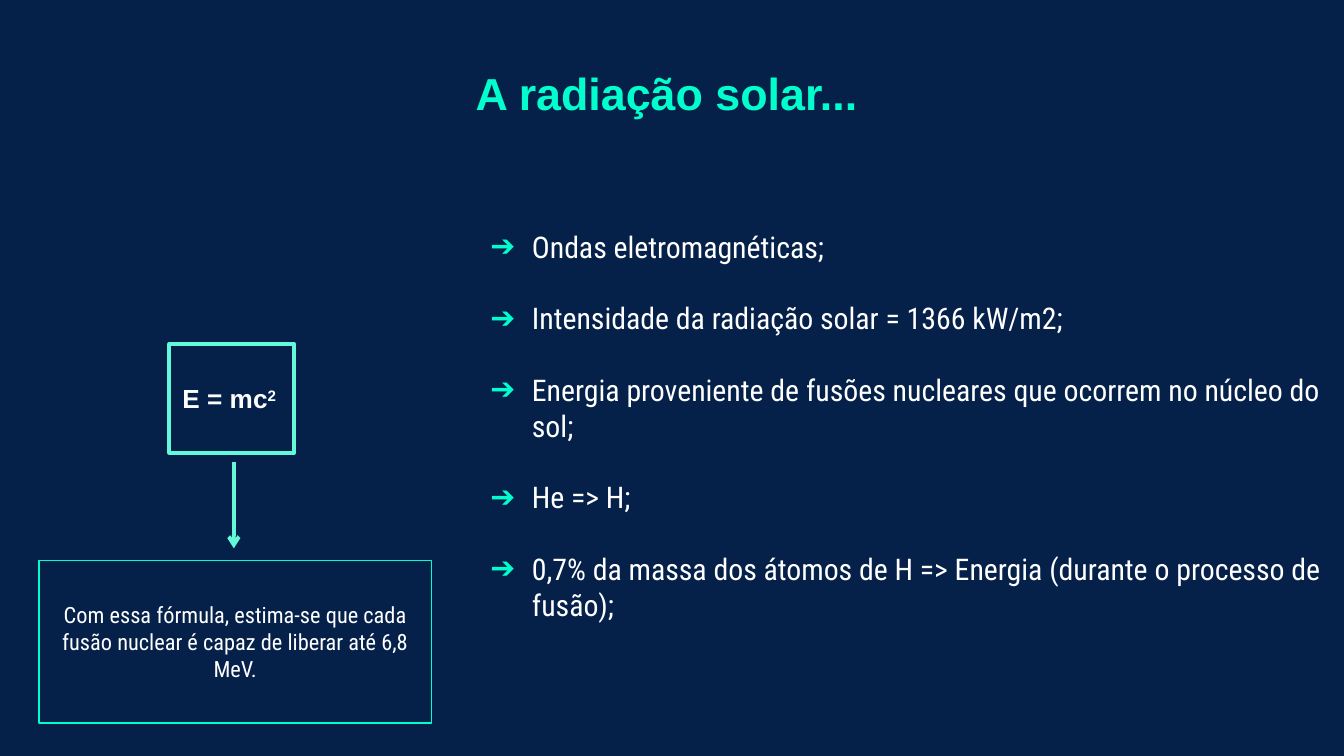
from pptx import Presentation
from pptx.dml.color import RGBColor
from pptx.enum.shapes import MSO_CONNECTOR, MSO_SHAPE
from pptx.enum.text import MSO_ANCHOR, PP_ALIGN
from pptx.oxml.ns import qn
from pptx.util import Inches, Pt
from lxml import etree

NAVY = RGBColor(0x05, 0x21, 0x4A)
MINT = RGBColor(0x00, 0xFF, 0xCD)
PALE_MINT = RGBColor(0x62, 0xF8, 0xDA)
WHITE = RGBColor(0xFF, 0xFF, 0xFF)
HEADING_FONT, BODY_FONT = "Arial", "Roboto Condensed"
LEFT, CENTER = PP_ALIGN.LEFT, PP_ALIGN.CENTER
TOP, MIDDLE = MSO_ANCHOR.TOP, MSO_ANCHOR.MIDDLE
RECTANGLE, STRAIGHT = MSO_SHAPE.RECTANGLE, MSO_CONNECTOR.STRAIGHT
TITLE_ONLY = 5

TITLE = "A radiação solar..."
FACTS = [
    "Ondas eletromagnéticas;",
    "Intensidade da radiação solar = 1366 kW/m2;",
    "Energia proveniente de fusões nucleares que ocorrem no núcleo do sol;",
    "He => H;",
    "0,7% da massa dos átomos de H => Energia (durante o processo de fusão);",
]
FORMULA, EXPONENT = "E = mc", "2"
EXPLANATION = (
    "Com essa fórmula, estima-se que cada fusão nuclear "
    "é capaz de liberar até 6,8 MeV."
)
TITLE_BOX = (2.11, 0.39, 5.7, 1.03)
FACTS_BOX = (3.55, 1.65, 6.6, 3.06)
FORMULA_BOX = (1.26, 2.56, 0.93, 0.81)
EXPLANATION_BOX = (0.29, 4.17, 2.92, 1.21)
ARROW = (1.74, 3.44, 1.74, 4.08)


def inches(values):
    """Convert a sequence of numbers to lengths."""
    return [Inches(value) for value in values]


def format_text(paragraph, font_name, size, color, bold=False, align=LEFT):
    """Align a paragraph and style its runs."""
    paragraph.alignment = align
    for run in paragraph.runs:
        run.font.name = font_name
        run.font.size = Pt(size)
        run.font.bold = bold
        run.font.color.rgb = color


def add_arrow_bullet(paragraph):
    """Give a paragraph a hanging mint arrow bullet."""
    properties = paragraph._p.get_or_add_pPr()
    properties.set("marL", str(Inches(0.31)))
    properties.set("indent", str(-Inches(0.31)))
    color = etree.SubElement(properties, qn("a:buClr"))
    etree.SubElement(color, qn("a:srgbClr"), val=str(MINT))
    etree.SubElement(properties, qn("a:buFont"), typeface=HEADING_FONT)
    etree.SubElement(properties, qn("a:buChar"), char="➔")


def add_title(slide):
    """Place and style the title."""
    title = slide.shapes.title
    title.left, title.top, title.width, title.height = inches(TITLE_BOX)
    frame = title.text_frame
    frame.text = TITLE
    frame.vertical_anchor = TOP
    frame.margin_left = frame.margin_right = Inches(0.1)
    frame.margin_top = frame.margin_bottom = Inches(0.1)
    format_text(frame.paragraphs[0], HEADING_FONT, 24, MINT, True, CENTER)


def add_facts(slide):
    """Add the bulleted list."""
    frame = slide.shapes.add_textbox(*inches(FACTS_BOX)).text_frame
    frame.word_wrap = True
    frame.text = "\n".join(FACTS)
    for paragraph in frame.paragraphs:
        paragraph.space_after = Pt(19.2)
        format_text(paragraph, BODY_FONT, 16, WHITE)
        add_arrow_bullet(paragraph)


def add_frame(slide, box, color, width):
    """Add an outlined rectangle and return its text frame."""
    shape = slide.shapes.add_shape(RECTANGLE, *inches(box))
    shape.shadow.inherit = False
    shape.fill.solid()
    shape.fill.fore_color.rgb = NAVY
    shape.line.color.rgb = color
    shape.line.width = Pt(width)
    shape.text_frame.word_wrap = True
    shape.text_frame.vertical_anchor = MIDDLE
    return shape.text_frame


def add_formula(slide):
    """Add the formula, its arrow and the explanation."""
    frame = add_frame(slide, FORMULA_BOX, PALE_MINT, 2)
    frame.text = FORMULA
    paragraph = frame.paragraphs[0]
    exponent = paragraph.add_run()
    exponent.text = EXPONENT
    format_text(paragraph, HEADING_FONT, 14, WHITE, True)
    exponent.font._element.set("baseline", "30000")

    arrow = slide.shapes.add_connector(STRAIGHT, *inches(ARROW))
    arrow.line.color.rgb = PALE_MINT
    arrow.line.width = Pt(2)
    etree.SubElement(arrow.line._get_or_add_ln(), qn("a:tailEnd"), type="arrow")
    etree.SubElement(arrow._element.spPr, qn("a:effectLst"))

    frame = add_frame(slide, EXPLANATION_BOX, MINT, 0.75)
    frame.text = EXPLANATION
    format_text(frame.paragraphs[0], BODY_FONT, 12, WHITE, align=CENTER)


def main():
    """Build the solar radiation slide."""
    presentation = Presentation()
    presentation.slide_width = Inches(10)
    presentation.slide_height = Inches(10 * 9 / 16)
    slide = presentation.slides.add_slide(presentation.slide_layouts[TITLE_ONLY])
    slide.background.fill.solid()
    slide.background.fill.fore_color.rgb = NAVY
    add_title(slide)
    add_facts(slide)
    add_formula(slide)
    presentation.save("out.pptx")


if __name__ == "__main__":
    main()
